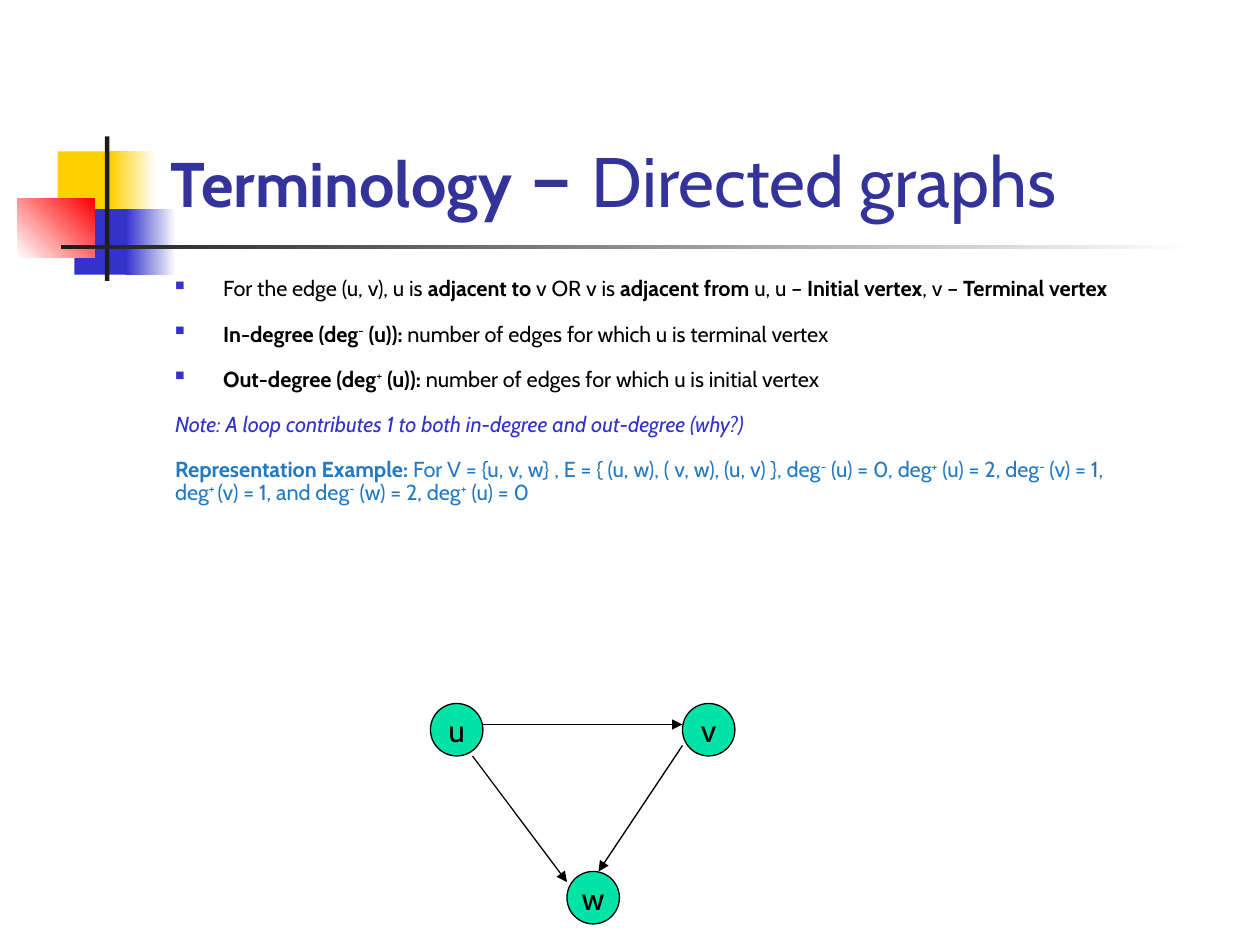
from lxml.etree import SubElement
from pptx import Presentation
from pptx.dml.color import RGBColor
from pptx.enum.shapes import MSO_CONNECTOR, MSO_SHAPE
from pptx.enum.text import MSO_ANCHOR, PP_ALIGN
from pptx.oxml.ns import qn
from pptx.util import Pt

THEME = {
    "font": "Cabin",
    "black": "000000", "white": "FFFFFF", "ink": "1C1C1C", "yellow": "FFCF01",
    "blue": "3333CC", "red": "FF0000", "navy": "333399", "sky": "237AC1", "node": "00E4A8",
    "term": 36, "dash": 48, "topic": 40, "body": 12.4, "label": 18,
}

DECORATIONS = [
    ((33, 86.5, 35, 37.5), ["yellow"], 0),
    ((63, 86.5, 26, 37.5), ["yellow", "white"], 0),
    ((42.5, 119.5, 33, 37.5), ["blue"], 0),
    ((72, 119.5, 28.5, 37.5), ["blue", "white"], 0),
    ((10, 113.5, 44, 33.5), ["white", "red"], 45),
    ((60, 78, 2.5, 82.5), ["ink"], 0),
    ((35, 140, 648, 2.5), ["ink", "white"], 0),
]

TITLE = [("Terminology", "term bold"), (" – ", "dash"), ("Directed graphs", "topic")]
TITLE_AREA = (90.5, 16.5, 613.5, 115)
BODY_AREA = (93, 159, 609, 165)
INDENT = 27.5
LINE_SPACING = 0.6
TIGHT_GAP, WIDE_GAP = 4, 16.9

BODY = [
    ("bullet", 0, "black", [
        ("For the edge (u, v), u is ", ""), ("adjacent to", "bold"), (" v OR v is ", ""),
        ("adjacent from", "bold"), (" u, u – ", ""), ("Initial vertex", "bold"),
        (", v – ", ""), ("Terminal vertex", "bold")]),
    ("bullet", WIDE_GAP, "black", [
        ("In-degree (deg", "bold"), ("-", "super"), (" (u)): ", "bold"),
        ("number of edges for which u is terminal vertex", "")]),
    ("bullet", WIDE_GAP, "black", [
        ("Out-degree (deg", "bold"), ("+", "super"), (" (u)): ", "bold"),
        ("number of edges for which u is initial vertex", "")]),
    ("justified", WIDE_GAP, "blue", [
        ("Note: A loop contributes 1 to both in-degree and out-degree (why?)", "italic")]),
    ("plain", WIDE_GAP, "sky", [
        ("Representation Example: ", "bold"),
        ("For V = {u, v, w} , E = { (u, w), ( v, w), (u, v) }, deg", ""), ("-", "super"),
        (" (u) = 0, deg", ""), ("+", "super"), (" (u) = 2, deg", ""), ("-", "super"),
        (" (v) = 1,", "")]),
    ("plain", TIGHT_GAP, "sky", [
        ("deg", ""), ("+ ", "super"), ("(v) = 1, and deg", ""), ("-", "super"),
        (" (w) = 2, deg", ""), ("+", "super"), (" (u) = 0", "")]),
]

NODE_SIZE = 30
NODES = {"u": (246, 402), "w": (324, 498), "v": (390, 402)}
EDGES = [(276, 414, 390, 414), (270, 432, 324, 504), (390, 426, 342, 498)]


def color(name):
    return RGBColor.from_string(THEME[name])


def points(values):
    return [Pt(value) for value in values]


def set_values(target, values):
    for name, value in values.items():
        setattr(target, name, value)


def paint(fill, names, angle=0):
    if len(names) == 1:
        fill.solid()
        fill.fore_color.rgb = color(names[0])
        return
    fill.gradient()
    fill.gradient_angle = angle
    for stop, name in zip(fill.gradient_stops, names):
        stop.color.rgb = color(name)


def write(para, pieces, tint, size):
    for text, style in pieces:
        words = style.split()
        span = para.add_run()
        span.text = text
        named_size = next((word for word in words if word in THEME), size)
        set_values(span.font, {
            "name": THEME["font"], "size": Pt(THEME[named_size]),
            "bold": "bold" in words, "italic": "italic" in words,
        })
        span.font.color.rgb = color(tint)
        if "super" in words:
            span.font._element.set("baseline", "30000")


def add_indent(para, bullet):
    properties = para._p.get_or_add_pPr()
    properties.set("marL", str(Pt(INDENT)))
    properties.set("indent", str(-Pt(INDENT)))
    if bullet:
        tint = SubElement(properties, qn("a:buClr"))
        SubElement(tint, qn("a:srgbClr"), val=THEME["blue"])
        SubElement(properties, qn("a:buSzPct"), val="60000")
        SubElement(properties, qn("a:buChar"), char="■")


def add_text_box(page, area, anchor):
    frame = page.shapes.add_textbox(*points(area)).text_frame
    set_values(frame, {"word_wrap": True, "vertical_anchor": anchor})
    return frame


def add_body(page):
    frame = add_text_box(page, BODY_AREA, MSO_ANCHOR.TOP)
    for index, (kind, gap, tint, pieces) in enumerate(BODY):
        para = frame.add_paragraph() if index else frame.paragraphs[0]
        add_indent(para, kind == "bullet")
        set_values(para, {
            "alignment": PP_ALIGN.LEFT if kind == "plain" else PP_ALIGN.JUSTIFY,
            "line_spacing": LINE_SPACING, "space_before": Pt(gap),
        })
        write(para, pieces, tint, "body")


def add_node(page, name, corner):
    node = page.shapes.add_shape(MSO_SHAPE.OVAL, *points((*corner, NODE_SIZE, NODE_SIZE)))
    node.shadow.inherit = False
    paint(node.fill, ["node"])
    node.line.color.rgb = color("black")
    node.line.width = Pt(0.75)
    set_values(node.text_frame, {"word_wrap": False, "vertical_anchor": MSO_ANCHOR.MIDDLE})
    para = node.text_frame.paragraphs[0]
    para.alignment = PP_ALIGN.CENTER
    write(para, [(name, "")], "black", "label")


def add_edge(page, ends):
    edge = page.shapes.add_connector(MSO_CONNECTOR.STRAIGHT, *points(ends))
    edge.line.color.rgb = color("black")
    edge.line.width = Pt(0.75)
    SubElement(edge.line._get_or_add_ln(), qn("a:tailEnd"), type="triangle")
    SubElement(edge._element.spPr, qn("a:effectLst"))


def main():
    deck = Presentation()
    set_values(deck, {"slide_width": Pt(720), "slide_height": Pt(540)})
    page = deck.slides.add_slide(deck.slide_layouts[6])
    for area, names, angle in DECORATIONS:
        block = page.shapes.add_shape(MSO_SHAPE.RECTANGLE, *points(area))
        block.shadow.inherit = False
        block.line.fill.background()
        paint(block.fill, names, angle)
    title = add_text_box(page, TITLE_AREA, MSO_ANCHOR.BOTTOM)
    write(title.paragraphs[0], TITLE, "navy", "topic")
    add_body(page)
    for name, corner in NODES.items():
        add_node(page, name, corner)
    for ends in EDGES:
        add_edge(page, ends)
    deck.save("out.pptx")


if __name__ == "__main__":
    main()
